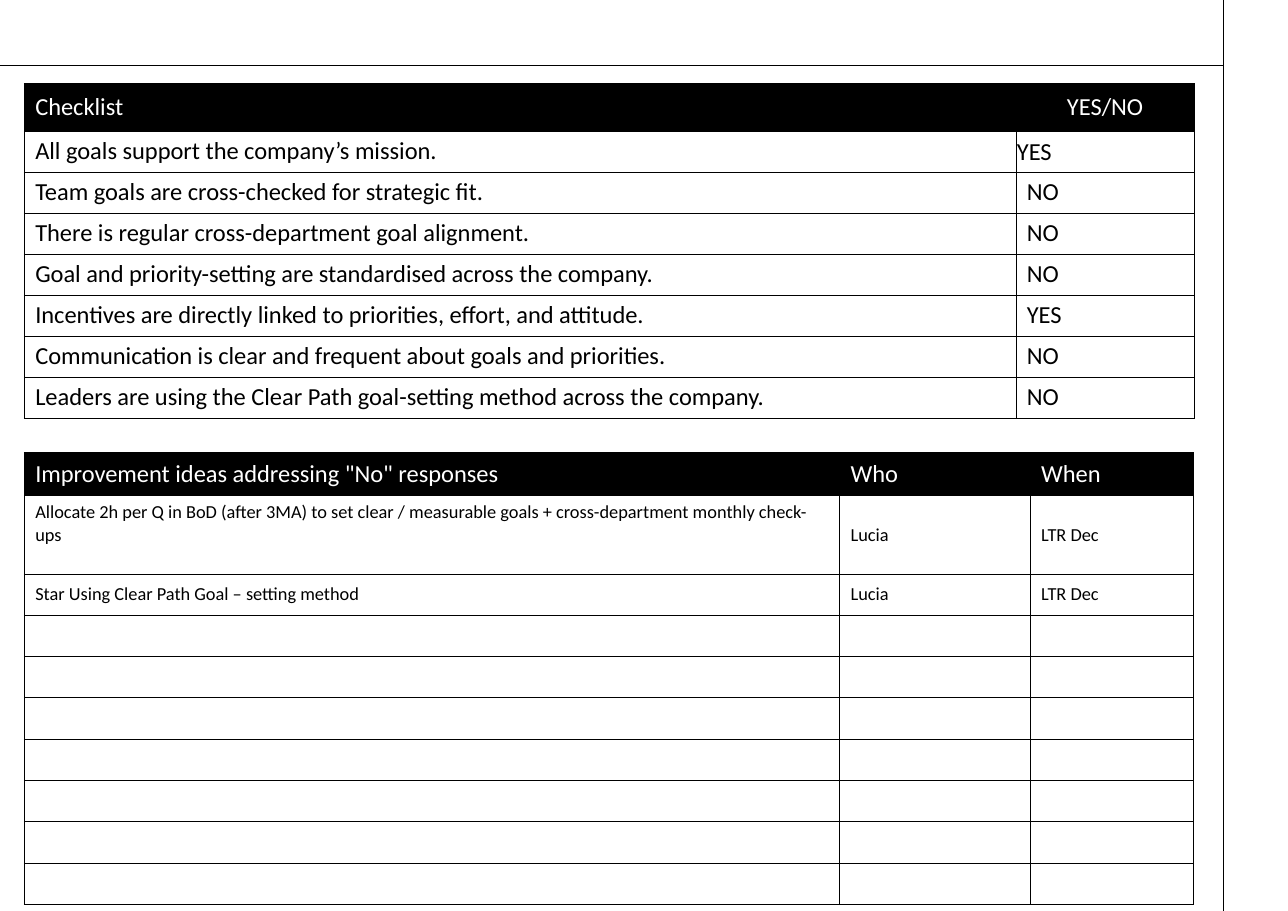
from lxml import etree
from pptx import Presentation
from pptx import util as u
from pptx.dml.color import RGBColor
from pptx.enum import shapes, text
from pptx.oxml import ns

COLOURS = {"ink": "000000", "paper": "FFFFFF"}
FONT = "Calibri"
LINE_WIDTH = u.Pt(0.5)

CHECKLIST = [
    ("Checklist", "YES/NO"),
    ("All goals support the company’s mission.", "YES"),
    ("Team goals are cross-checked for strategic fit.", "NO"),
    ("There is regular cross-department goal alignment.", "NO"),
    ("Goal and priority-setting are standardised across the company.", "NO"),
    ("Incentives are directly linked to priorities, effort, and attitude.", "YES"),
    ("Communication is clear and frequent about goals and priorities.", "NO"),
    ("Leaders are using the Clear Path goal-setting method across the company.", "NO"),
]
IDEAS = [
    ('Improvement ideas addressing "No" responses', "Who", "When"),
    ("Allocate 2h per Q in BoD (after 3MA) to set clear / measurable goals "
     "+ cross-department monthly check-ups", "Lucia", "LTR Dec"),
    ("Star Using Clear Path Goal – setting method", "Lucia", "LTR Dec"),
] + [("", "", "")] * 7


def colour(name):
    return RGBColor.from_string(COLOURS[name])


def add_rule(page, start, end):
    points = [u.Inches(value) for value in (*start, *end)]
    rule = page.shapes.add_connector(shapes.MSO_CONNECTOR.STRAIGHT, *points)
    rule.line.color.rgb = colour("ink")
    rule.line.width = LINE_WIDTH
    etree.SubElement(rule._element.spPr, ns.qn("a:effectLst"))


def add_borders(cell):
    properties = cell._tc.get_or_add_tcPr()
    for position, side in enumerate(("lnL", "lnR", "lnT", "lnB")):
        border = etree.Element(ns.qn(f"a:{side}"), w=str(LINE_WIDTH))
        fill = etree.SubElement(border, ns.qn("a:solidFill"))
        etree.SubElement(fill, ns.qn("a:srgbClr"), val=COLOURS["ink"])
        properties.insert(position, border)


def write_cell(cell, words, size, is_header):
    cell.fill.solid()
    cell.fill.fore_color.rgb = colour("ink" if is_header else "paper")
    cell.vertical_anchor = text.MSO_ANCHOR.MIDDLE
    add_borders(cell)
    para = cell.text_frame.paragraphs[0]
    if words:
        span = para.add_run()
        span.text = words
        span.font.name = FONT
        span.font.size = u.Pt(size)
        span.font.color.rgb = colour("paper" if is_header else "ink")
    else:
        etree.SubElement(para._p, ns.qn("a:endParaRPr"), sz=str(size * 100))


def add_grid(page, top, rows, widths, heights, body_size):
    frame = page.shapes.add_table(
        len(rows), len(widths), u.Inches(0.22), u.Inches(top),
        u.Inches(sum(widths)), u.Inches(sum(heights)))
    table = frame.table
    table.horz_banding = False
    for column, width in zip(table.columns, widths):
        column.width = u.Inches(width)
    for index, (words, height) in enumerate(zip(rows, heights)):
        table.rows[index].height = u.Inches(height)
        for cell, entry in zip(table.rows[index].cells, words):
            write_cell(cell, entry, body_size if index else 16, index == 0)
    return table


def main():
    deck = Presentation()
    deck.slide_width = u.Inches(11.69)
    deck.slide_height = u.Inches(8.27)
    page = deck.slides.add_slide(deck.slide_layouts[6])

    add_rule(page, (11.1, 8.27), (11.1, 0))
    ideas = add_grid(page, 4.11, IDEAS, [7.4, 1.73, 1.48],
                     [0.39, 0.71] + [3 / 8] * 8, 12)
    ideas.cell(1, 0).margin_bottom = u.Inches(0.25)
    add_rule(page, (11.1, 0.59), (0, 0.59))
    checklist = add_grid(page, 0.76, CHECKLIST, [9, 1.62],
                         [0.43] + [0.37] * 7, 16)
    checklist.cell(0, 1).text_frame.paragraphs[0].alignment = text.PP_ALIGN.CENTER
    first_answer = checklist.cell(1, 1)
    first_answer.margin_left = first_answer.margin_right = u.Inches(0.01)
    first_answer.margin_top = u.Inches(0.01)
    first_answer.margin_bottom = 0

    deck.save("out.pptx")


if __name__ == "__main__":
    main()
